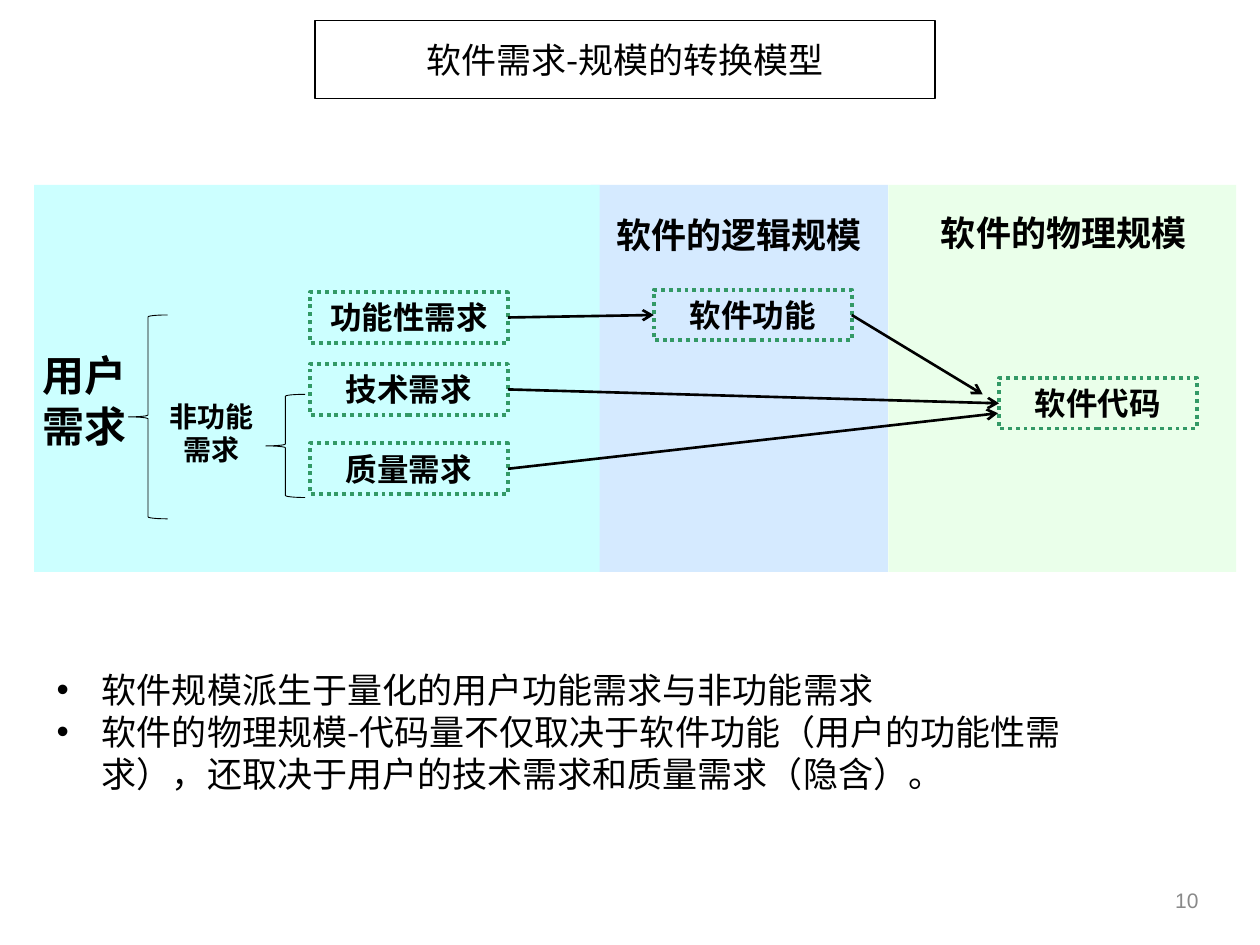
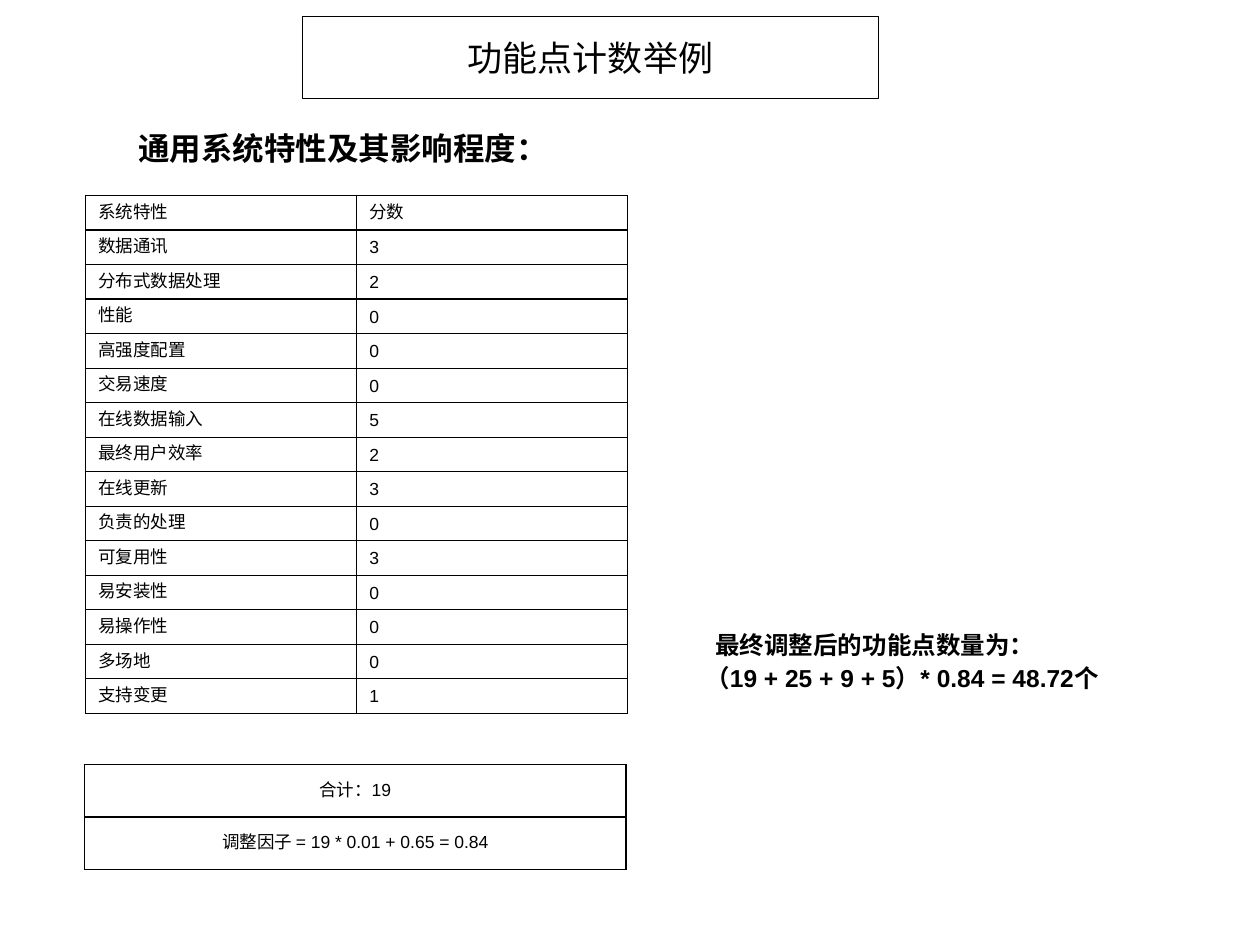
from lxml.etree import SubElement
from pptx import Presentation
from pptx.dml.color import RGBColor
from pptx.enum.dml import MSO_LINE
from pptx.enum.shapes import MSO_CONNECTOR, MSO_SHAPE
from pptx.enum.text import MSO_ANCHOR, MSO_AUTO_SIZE, PP_ALIGN
from pptx.oxml import parse_xml
from pptx.oxml.ns import nsdecls, qn
from pptx.util import Cm, Pt

BLACK, WHITE, GREEN, GREY = "000000", "FFFFFF", "339966", "898989"
LATIN, CHINESE = "Arial", "Noto Sans CJK SC"
LEFT, CENTER, RIGHT = PP_ALIGN.LEFT, PP_ALIGN.CENTER, PP_ALIGN.RIGHT
LINE_RATIO = 1.2
NODE_SIZE = (3.99, 1.02)
PANELS = [
    ((17.91, 3.73, 7.01, 7.8), "CCFFCC", 41),
    ((11.91, 3.73, 5.99, 7.8), "99CCFF", 41),
    ((0.69, 3.73, 11.4, 7.8), "CCFFFF", 100),
]
NODES = {
    "功能性需求": (6.25, 5.89),
    "技术需求": (6.25, 7.34),
    "质量需求": (6.25, 8.94),
    "软件功能": (13.18, 5.84),
    "软件代码": (20.14, 7.62),
}
BULLETS = [
    "软件规模派生于量化的用户功能需求与非功能需求",
    "软件的物理规模-代码量不仅取决于软件功能（用户的功能性需求），还取决于用户的技术需求和质量需求（隐含）。",
]
SCORES = [
    ("系统特性", "分数"), ("数据通讯", 3), ("分布式数据处理", 2), ("性能", 0),
    ("高强度配置", 0), ("交易速度", 0), ("在线数据输入", 5), ("最终用户效率", 2),
    ("在线更新", 3), ("负责的处理", 0), ("可复用性", 3), ("易安装性", 0),
    ("易操作性", 0), ("多场地", 0), ("支持变更", 1),
]
TOTALS = [("合计：19",), ("调整因子 = 19 * 0.01 + 0.65 = 0.84",)]


def rgb(value):
    """Turn a hex string into a colour."""
    return RGBColor.from_string(value)


def lengths(*values):
    """Turn centimetre numbers into lengths."""
    return [Cm(value) for value in values]


def apply(target, values):
    """Set the attributes named in a dict."""
    for name, value in values.items():
        setattr(target, name, value)


def add_text_shadow(run):
    """Give the letters of a run a soft grey shadow."""
    shadow = parse_xml(
        f'<a:effectLst {nsdecls("a")}><a:outerShdw dist="35921" dir="2700000">'
        '<a:srgbClr val="808080"/></a:outerShdw></a:effectLst>')
    run._r.get_or_add_rPr().find(qn("a:latin")).addprevious(shadow)


def write(frame, lines, size, bold=False, align=LEFT, color=BLACK,
          font=LATIN, spacing=None, shadow=False):
    """Fill a text frame with one paragraph per line."""
    for index, line in enumerate(lines):
        paragraph = frame.add_paragraph() if index else frame.paragraphs[0]
        apply(paragraph, {"alignment": align, "space_before": Pt(0),
                          "line_spacing": Pt(spacing or size * LINE_RATIO)})
        run = paragraph.add_run()
        run.text = str(line)
        apply(run.font, {"size": Pt(size), "bold": bold, "name": font})
        run.font.color.rgb = rgb(color)
        SubElement(run._r.get_or_add_rPr(), qn("a:ea"), typeface=CHINESE)
        if shadow:
            add_text_shadow(run)


def set_indent(paragraph, margin, first):
    """Set left margin and first-line indent of a paragraph."""
    properties = paragraph._p.get_or_add_pPr()
    properties.set("marL", str(Cm(margin)))
    properties.set("indent", str(Cm(first)))


def place(shape, box):
    """Move and size a shape."""
    apply(shape, dict(zip(("left", "top", "width", "height"), lengths(*box))))


def add_title(slide, text, box):
    """Put the heading in its framed title placeholder."""
    title = slide.shapes.title
    place(title, box)
    title.fill.solid()
    title.fill.fore_color.rgb = rgb(WHITE)
    title.line.color.rgb = rgb(BLACK)
    title.line.width = Pt(0.75)
    apply(title.text_frame, {"vertical_anchor": MSO_ANCHOR.MIDDLE,
                             "auto_size": MSO_AUTO_SIZE.NONE})
    write(title.text_frame, [text], 20, align=CENTER, font=CHINESE)


def add_label(slide, lines, box, size, anchor=MSO_ANCHOR.TOP, **style):
    """Add free text and hand back its frame."""
    frame = slide.shapes.add_textbox(*lengths(*box)).text_frame
    apply(frame, {"word_wrap": True, "vertical_anchor": anchor})
    write(frame, lines, size, **style)
    return frame


def add_panel(slide, box, color, opacity):
    """Add a coloured background area."""
    panel = slide.shapes.add_shape(MSO_SHAPE.RECTANGLE, *lengths(*box))
    panel.shadow.inherit = False
    panel.fill.solid()
    panel.fill.fore_color.rgb = rgb(color)
    panel.line.fill.background()
    if opacity < 100:
        tint = panel.fill._xPr.find(qn("a:solidFill"))[0]
        SubElement(tint, qn("a:alpha"), val=str(opacity * 1000))


def add_outline(slide, kind, box, color, width):
    """Add an unfilled shape with a coloured line."""
    outline = slide.shapes.add_shape(kind, *lengths(*box))
    outline.shadow.inherit = False
    outline.fill.background()
    outline.line.color.rgb = rgb(color)
    outline.line.width = Pt(width)
    return outline


def add_node(slide, text, corner):
    """Add a dotted box of the model."""
    node = add_outline(slide, MSO_SHAPE.RECTANGLE, corner + NODE_SIZE, GREEN, 2.25)
    node.line.dash_style = MSO_LINE.ROUND_DOT
    node.text_frame.vertical_anchor = MSO_ANCHOR.TOP
    write(node.text_frame, [text], 18, bold=True, align=CENTER)
    return node


def add_brace(slide, box):
    """Add a thin left brace."""
    brace = add_outline(slide, MSO_SHAPE.LEFT_BRACE, box, BLACK, 0.5)
    brace.adjustments[0] = 0.05


def add_arrow(slide, source, target=None, tip=(0, 0)):
    """Lead an arrow from a node to another node or to a point."""
    arrow = slide.shapes.add_connector(MSO_CONNECTOR.STRAIGHT, 0, 0, *lengths(*tip))
    arrow.begin_connect(source, 3)
    if target is not None:
        arrow.end_connect(target, 1)
    arrow.line.color.rgb = rgb(BLACK)
    arrow.line.width = Pt(1.5)
    SubElement(arrow.line._get_or_add_ln(), qn("a:tailEnd"), type="arrow")
    SubElement(arrow._element.spPr, qn("a:effectLst"))


def add_bullets(slide, items, box):
    """Fill the body placeholder with the bullet list."""
    body = slide.placeholders[1]
    place(body, box)
    body.text_frame.auto_size = MSO_AUTO_SIZE.NONE
    write(body.text_frame, items, 20, font=CHINESE)
    for paragraph in body.text_frame.paragraphs:
        set_indent(paragraph, 0.91, -0.91)


def add_borders(cell):
    """Draw thin black lines round a cell."""
    properties = cell._tc.get_or_add_tcPr()
    for index, side in enumerate(("lnL", "lnR", "lnT", "lnB")):
        properties.insert(index, parse_xml(
            f'<a:{side} {nsdecls("a")} w="9525"><a:solidFill>'
            f'<a:srgbClr val="{BLACK}"/></a:solidFill></a:{side}>'))


def add_grid(slide, rows, box, align=LEFT):
    """Add a plain ruled table."""
    table = slide.shapes.add_table(len(rows), len(rows[0]), *lengths(*box)).table
    apply(table, {"first_row": False, "horz_banding": False})
    for row, values in enumerate(rows):
        for column, value in enumerate(values):
            cell = table.cell(row, column)
            cell.vertical_anchor = MSO_ANCHOR.MIDDLE
            cell.fill.background()
            add_borders(cell)
            write(cell.text_frame, [value], 10, align=align)


def build_model(slide):
    """Build the requirement-to-size model."""
    for panel in PANELS:
        add_panel(slide, *panel)
    add_title(slide, "软件需求-规模的转换模型", (6.35, 0.41, 12.5, 1.57))
    functional, technical, quality, function, code = [
        add_node(slide, text, corner) for text, corner in NODES.items()]
    add_arrow(slide, functional, function)
    add_arrow(slide, technical, code)
    add_arrow(slide, quality, tip=(20.12, 8.33))
    add_arrow(slide, function, tip=(19.81, 7.95))
    add_label(slide, ["用户", "需求"], (0.61, 6.93, 2.6, 2.29), 24, bold=True)
    add_label(slide, ["非功能", "需求"], (2.98, 7.92, 2.58, 1.63), 16,
              bold=True, align=CENTER)
    add_brace(slide, (2.59, 6.35, 0.79, 4.11))
    add_brace(slide, (5.36, 7.95, 0.79, 2.08))
    add_label(slide, ["软件的逻辑规模"], (12.17, 4.17, 5.8, 1.12), 20, bold=True)
    add_label(slide, ["软件的物理规模"], (18.72, 4.14, 5.8, 1.12), 20, bold=True)
    add_bullets(slide, BULLETS, (0.89, 13.34, 21.82, 2.79))
    add_label(slide, ["10"], (18.49, 17.48, 5.92, 1.32), 12, MSO_ANCHOR.MIDDLE,
              align=RIGHT, color=GREY)


def build_example(slide):
    """Build the function point counting example."""
    add_title(slide, "功能点计数举例", (6.1, 0.33, 11.61, 1.65))
    add_label(slide, ["通用系统特性及其影响程度："], (2.54, 2.44, 9.5, 1.09), 18,
              MSO_ANCHOR.MIDDLE, bold=True, shadow=True)
    add_grid(slide, SCORES, (1.73, 3.94, 10.92, 10.44))
    add_grid(slide, TOTALS, (1.7, 15.42, 10.92, 2.1), CENTER)
    result = add_label(
        slide, ["最终调整后的功能点数量为：", "（19 + 25 + 9 + 5）* 0.84 = 48.72个"],
        (13.97, 12.47, 9.9, 1.63), 14, MSO_ANCHOR.MIDDLE,
        bold=True, spacing=19.4, shadow=True)
    set_indent(result.paragraphs[0], 0, 0.2)


def main():
    """Build both slides and save them."""
    deck = Presentation()
    apply(deck, {"slide_width": Cm(25.4), "slide_height": Cm(19.05)})
    build_model(deck.slides.add_slide(deck.slide_layouts[1]))
    build_example(deck.slides.add_slide(deck.slide_layouts[5]))
    deck.save("out.pptx")


if __name__ == "__main__":
    main()
